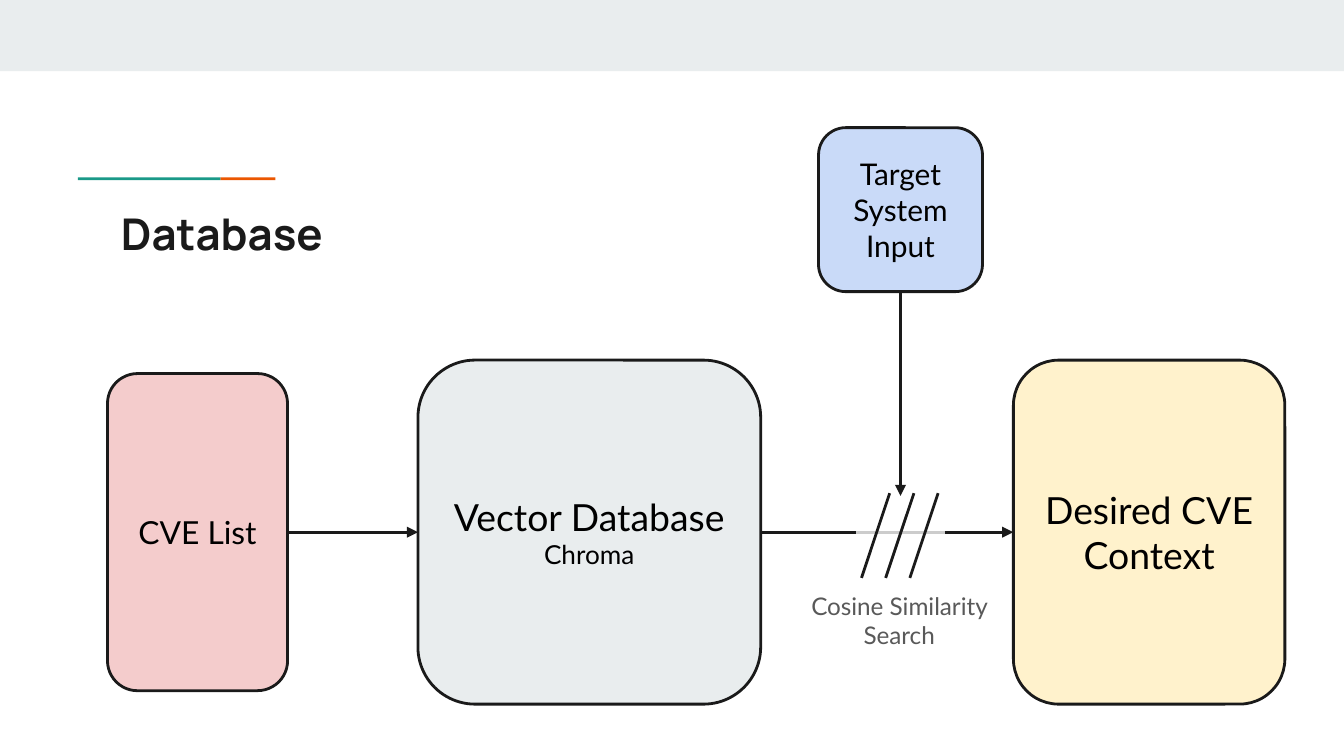
import pptx
import pptx.dml.color
import pptx.enum.shapes
import pptx.enum.text
import pptx.oxml
import pptx.oxml.ns
import pptx.util

Inches = pptx.util.Inches
Pt = pptx.util.Pt
RGBColor = pptx.dml.color.RGBColor
Shape = pptx.enum.shapes.MSO_SHAPE
Align = pptx.enum.text.PP_ALIGN
Anchor = pptx.enum.text.MSO_ANCHOR

INK = RGBColor(0x1A, 0x1A, 0x1A)
BLACK = RGBColor(0, 0, 0)
GREY = RGBColor(0x59, 0x59, 0x59)
FADED = RGBColor(0xCC, 0xCC, 0xCC)
MIST = RGBColor(0xE9, 0xED, 0xEE)
TEAL = RGBColor(0x1A, 0x99, 0x88)
ORANGE = RGBColor(0xEB, 0x56, 0x00)
BLUE = RGBColor(0xC9, 0xDA, 0xF8)
PINK = RGBColor(0xF4, 0xCC, 0xCC)
YELLOW = RGBColor(0xFF, 0xF2, 0xCC)

TOP, LEFT, BOTTOM, RIGHT = range(4)
FLOW_Y = 3.96


def write_text(shape, lines, color=BLACK, font="Lato", align=Align.CENTER,
               anchor=Anchor.TOP, bold=False):
    """Fill a shape with (text, size) lines in one style."""
    frame = shape.text_frame
    frame.text = "\n".join(text for text, size in lines)
    frame.word_wrap = True
    frame.auto_size = pptx.enum.text.MSO_AUTO_SIZE.NONE
    frame.vertical_anchor = anchor
    frame.margin_left = frame.margin_right = Inches(0.1)
    frame.margin_top = frame.margin_bottom = Inches(0.1)
    for para, (text, size) in zip(frame.paragraphs, lines):
        para.alignment = align
        for span in para.runs:
            span.font.name = font
            span.font.size = Pt(size)
            span.font.bold = bold
            span.font.color.rgb = color


def place(shape, left, top, width, height):
    """Set the position and size of a shape in inches."""
    shape.left, shape.top = Inches(left), Inches(top)
    shape.width, shape.height = Inches(width), Inches(height)


def add_bar(page, left, top, width, height, color):
    """Add a plain filled rectangle."""
    bar = page.shapes.add_shape(Shape.RECTANGLE, Inches(left), Inches(top),
                                Inches(width), Inches(height))
    bar.shadow.inherit = False
    bar.fill.solid()
    bar.fill.fore_color.rgb = color
    bar.line.fill.background()


def add_box(page, left, top, width, height, color, lines):
    """Add an outlined rounded box with centred text."""
    box = page.shapes.add_shape(Shape.ROUNDED_RECTANGLE, Inches(left), Inches(top),
                                Inches(width), Inches(height))
    box.shadow.inherit = False
    box.fill.solid()
    box.fill.fore_color.rgb = color
    box.line.color.rgb = INK
    box.line.width = Pt(1.5)
    write_text(box, lines, anchor=Anchor.MIDDLE)
    return box


def add_line(page, start, end, color=INK, arrow=False, source=None, target=None):
    """Add a straight line, optionally with an arrowhead and glued (box, side) ends."""
    line = page.shapes.add_connector(
        pptx.enum.shapes.MSO_CONNECTOR.STRAIGHT, *map(Inches, start + end))
    if source:
        line.begin_connect(*source)
    if target:
        line.end_connect(*target)
    line.line.color.rgb = color
    line.line.width = Pt(1.5)
    if arrow:
        head = pptx.oxml.parse_xml(
            f'<a:tailEnd {pptx.oxml.ns.nsdecls("a")} type="triangle"/>')
        line.line._get_or_add_ln().append(head)
    effects = pptx.oxml.parse_xml(f'<a:effectLst {pptx.oxml.ns.nsdecls("a")}/>')
    line._element.spPr.append(effects)


def add_heading(page):
    """Add the top band, the two-colour accent and the title."""
    add_bar(page, 0, 0, 10, 0.53, MIST)
    add_bar(page, 1.64, 1.32, 0.41, 0.02, ORANGE)
    add_bar(page, 0.58, 1.32, 1.06, 0.02, TEAL)
    title = page.shapes.title
    place(title, 0.8, 1.44, 8.41, 0.59)
    write_text(title, [("Database", 23.4)], INK, "Manrope", Align.LEFT, bold=True)


def add_flow(page):
    """Add the boxes, their connections and the search step."""
    query = add_box(page, 6.09, 0.95, 1.22, 1.22, BLUE, [("Target System Input", 16)])
    cves = add_box(page, 0.8, 2.78, 1.34, 2.36, PINK, [("CVE List", 17)])
    database = add_box(page, 3.11, 2.68, 2.55, 2.56, MIST,
                       [("Vector Database", 20), ("Chroma", 14)])
    context = add_box(page, 7.54, 2.68, 2.02, 2.56, YELLOW,
                      [("Desired CVE Context", 20)])

    add_line(page, (2.14, FLOW_Y), (3.11, FLOW_Y), arrow=True,
             source=(cves, RIGHT), target=(database, LEFT))
    add_line(page, (6.7, 2.17), (6.7, 3.69), arrow=True, source=(query, BOTTOM))
    add_line(page, (5.66, FLOW_Y), (6.38, FLOW_Y), source=(database, RIGHT))
    add_line(page, (7.03, FLOW_Y), (7.54, FLOW_Y), arrow=True, target=(context, LEFT))
    add_line(page, (6.37, FLOW_Y), (7.03, FLOW_Y), FADED)
    for index in reversed(range(3)):
        foot = 6.41 + 0.18 * index
        add_line(page, (foot, 4.3), (foot + 0.21, 3.67))

    label = page.shapes.add_textbox(Inches(5.88), Inches(4.3), Inches(1.62), Inches(0.4))
    write_text(label, [("Cosine Similarity Search", 13)], GREY)


def main():
    """Build and save the deck."""
    deck = pptx.Presentation()
    deck.slide_width = Inches(10)
    deck.slide_height = deck.slide_width * 9 // 16
    page = deck.slides.add_slide(deck.slide_layouts[5])
    add_heading(page)
    add_flow(page)
    deck.save("out.pptx")


if __name__ == "__main__":
    main()
